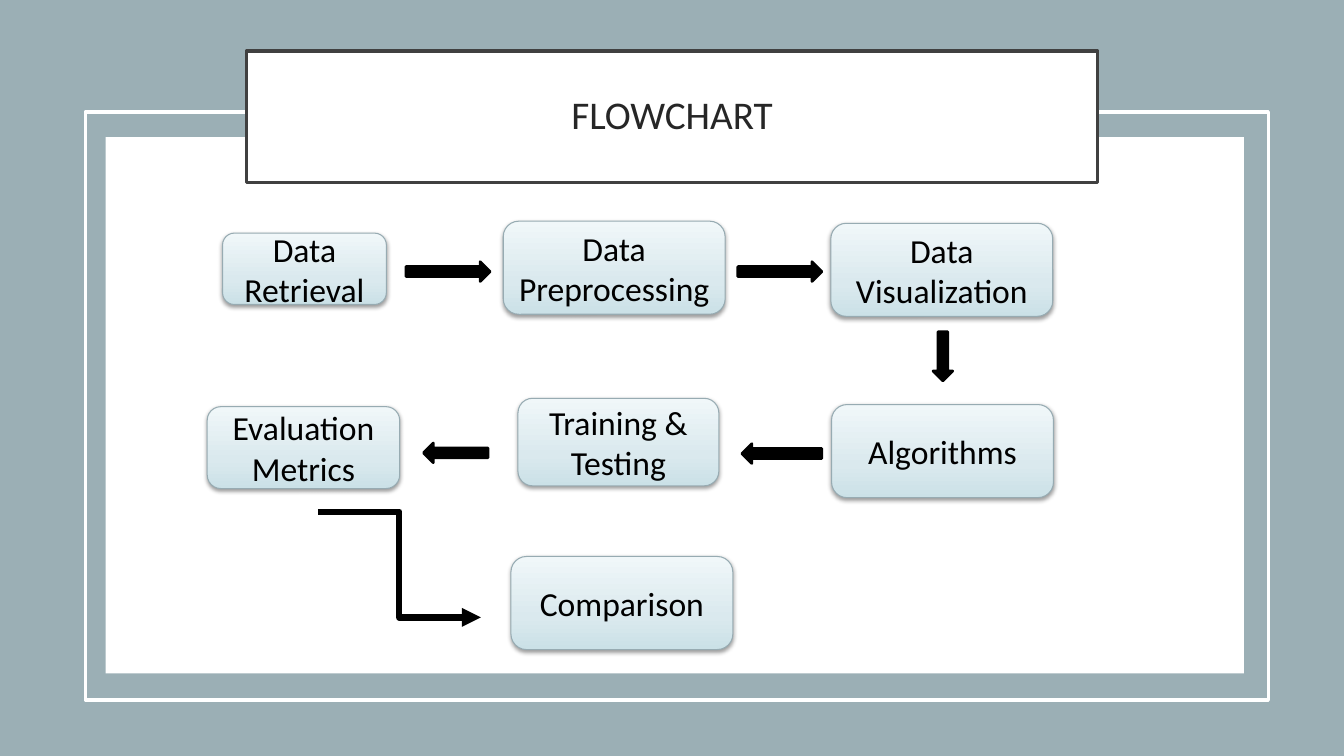
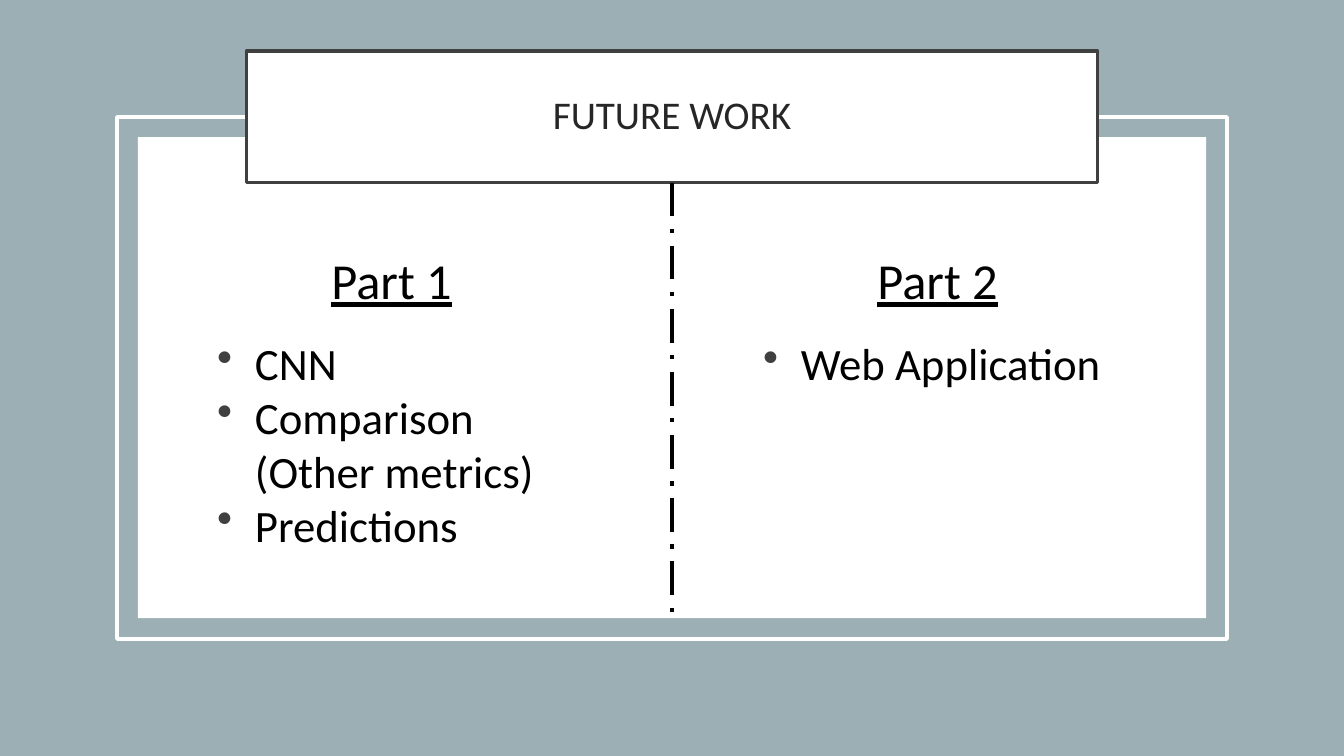
import copy

import pptx
import pptx.dml.color
import pptx.enum.dml
import pptx.enum.shapes
import pptx.enum.text
import pptx.oxml.ns
import pptx.oxml.xmlchemy
import pptx.util
from lxml import etree

Pt = pptx.util.Pt
qn = pptx.oxml.ns.qn
Kind = pptx.enum.shapes.MSO_SHAPE
Line = pptx.enum.shapes.MSO_CONNECTOR
Align = pptx.enum.text.PP_ALIGN
Anchor = pptx.enum.text.MSO_ANCHOR

FONT = "Calibri"
HEX = {
    "back": "9BAFB5",
    "white": "FFFFFF",
    "title": "262626",
    "edge": "404040",
    "black": "000000",
    "border": "97ABB2",
}
FADE = [(0, "CBE1E7"), (0.35, "DAE9EE"), (1, "F0F7F9")]
TITLE_BOX = (176, 36.5, 608, 94)

# Left, top, width, height
STEPS = [
    ("Data Retrieval", (159, 166.5, 117, 51)),
    ("Data Preprocessing", (359.5, 158, 158.5, 66.5)),
    ("Data Visualization", (593.5, 159.5, 158.5, 66.5)),
    ("Algorithms", (594, 289, 158.5, 66.5)),
    ("Training & Testing", (370, 284.5, 143.5, 62.5)),
    ("Evaluation Metrics", (148, 290.5, 137.5, 58.5)),
    ("Comparison", (365, 397.5, 158.5, 66.5)),
]
ARROWS = [
    (Kind.RIGHT_ARROW, (290, 187, 60, 14)),
    (Kind.RIGHT_ARROW, (527, 187, 60, 14)),
    (Kind.DOWN_ARROW, (666.5, 237, 14, 35)),
    (Kind.LEFT_ARROW, (530, 317, 57, 14)),
    (Kind.LEFT_ARROW, (302.5, 316.5, 46, 14)),
]
PARTS = [
    (139, "Part 1", ["CNN", "Comparison (Other metrics)", "Predictions"]),
    (529, "Part 2", ["Web Application"]),
]


def rgb(name):
    return pptx.dml.color.RGBColor.from_string(HEX[name])


def pts(box):
    return [Pt(n) for n in box]


def paint(shape, fill, line, width):
    """Set a plain fill and outline; None leaves that part out."""
    if fill:
        shape.fill.solid()
        shape.fill.fore_color.rgb = rgb(fill)
    else:
        shape.fill.background()
    if line:
        shape.line.color.rgb = rgb(line)
        shape.line.width = Pt(width)
    else:
        shape.line.fill.background()


def add_shape(slide, kind, box, fill=None, line=None, width=0):
    shape = slide.shapes.add_shape(kind, *pts(box))
    shape.shadow.inherit = False
    paint(shape, fill, line, width)
    return shape


def style(para, size, color="black", align=Align.LEFT, space=1.0):
    para.alignment = align
    para.line_spacing = space
    para.font.name = FONT
    para.font.size = Pt(size)
    para.font.color.rgb = rgb(color)


def add_slide(deck, text, panel_box, frame_box):
    """Add a slide with its framed panel and title; return slide, panel, title."""
    slide = deck.slides.add_slide(deck.slide_layouts[5])
    slide.background.fill.solid()
    slide.background.fill.fore_color.rgb = rgb("back")
    panel = add_shape(slide, Kind.RECTANGLE, panel_box, "white")
    add_shape(slide, Kind.RECTANGLE, frame_box, None, "white", 2.5)

    title = slide.shapes.title
    title.element.getparent().append(title.element)  # bring to front
    title.left, title.top, title.width, title.height = pts(TITLE_BOX)
    paint(title, "white", "edge", 2.5)
    frame = title.text_frame
    frame.text = text
    frame.auto_size = pptx.enum.text.MSO_AUTO_SIZE.NONE
    frame.vertical_anchor = Anchor.MIDDLE
    frame.margin_left = frame.margin_right = Pt(14.4)
    frame.margin_top = frame.margin_bottom = Pt(14.4)
    style(frame.paragraphs[0], 28, "title", Align.CENTER, 0.9)
    return slide, panel, title


def fade(shape):
    shape.fill.gradient()
    shape.fill.gradient_angle = 90
    stops = next(shape.element.spPr.iter(qn("a:gsLst")))
    stops.insert(1, copy.deepcopy(stops[0]))
    for stop, (place, color) in zip(shape.fill.gradient_stops, FADE):
        stop.position = place
        stop.color.rgb = pptx.dml.color.RGBColor.from_string(color)


def drop_shadow(shape):
    effects = shape.element.spPr.find(qn("a:effectLst"))
    outer = etree.SubElement(
        effects, qn("a:outerShdw"), blurRad=str(Pt(3.1)), dist=str(Pt(1.6)),
        dir="5400000", rotWithShape="0")
    color = etree.SubElement(outer, qn("a:srgbClr"), val=HEX["black"])
    etree.SubElement(color, qn("a:alpha"), val="38000")


def add_step(slide, text, box):
    step = add_shape(slide, Kind.ROUNDED_RECTANGLE, box, None, "border", 0.75)
    fade(step)
    drop_shadow(step)
    frame = step.text_frame
    frame.text = text
    frame.word_wrap = True
    frame.vertical_anchor = Anchor.MIDDLE
    style(frame.paragraphs[0], 24, align=Align.CENTER)


def add_line(slide, kind, ends, width):
    line = slide.shapes.add_connector(kind, *pts(ends))
    line.line.color.rgb = rgb("black")
    line.line.width = Pt(width)
    etree.SubElement(line.element.spPr, qn("a:effectLst"))
    return line


def indent(para, left, first=0):
    props = para._p.get_or_add_pPr()
    props.set("marL", str(Pt(left)))
    props.set("indent", str(Pt(first)))
    return props


def add_bullet(para):
    props = indent(para, 36, -27)
    color = etree.SubElement(props, qn("a:buClr"))
    etree.SubElement(color, qn("a:srgbClr"), val=HEX["edge"])
    etree.SubElement(props, qn("a:buChar"), char="•")


def add_part(slide, left, head, items):
    frame = slide.shapes.add_textbox(*pts((left, 152.5, 272.5, 227))).text_frame
    frame.word_wrap = True
    para = frame.paragraphs[0]
    para.text = head
    indent(para, 9)
    style(para, 36, align=Align.CENTER, space=1.5)
    para.font.underline = True
    for i, item in enumerate(items):
        para = frame.add_paragraph()
        para.text = item
        add_bullet(para)
        style(para, 32, space=1.0 if i else 1.5)


def flow_slide(deck):
    slide, _, _ = add_slide(
        deck, "FLOWCHART", (75.5, 98, 813, 383), (61, 80, 845, 420))
    for text, box in STEPS:
        add_step(slide, text, box)
    for kind, box in ARROWS:
        add_shape(slide, kind, box, "black", "black", 2)
    elbow = add_line(slide, Line.ELBOW, (227, 365.5, 343.5, 441), 4.5)
    etree.SubElement(elbow.line._get_or_add_ln(), qn("a:tailEnd"), type="triangle")


def future_slide(deck):
    slide, panel, title = add_slide(
        deck, "FUTURE WORK", (98.5, 98, 763, 343.5), (83.5, 83.5, 793, 373))
    for part in PARTS:
        add_part(slide, *part)
    split = add_line(slide, Line.STRAIGHT, (480, 130.5, 480, 441.5), 3)
    split.line.dash_style = pptx.enum.dml.MSO_LINE.LONG_DASH_DOT
    split.begin_connect(title, 2)
    split.end_connect(panel, 2)


def main():
    deck = pptx.Presentation()
    deck.slide_width, deck.slide_height = Pt(960), Pt(540)
    flow_slide(deck)
    future_slide(deck)
    deck.save("out.pptx")


if __name__ == "__main__":
    main()
